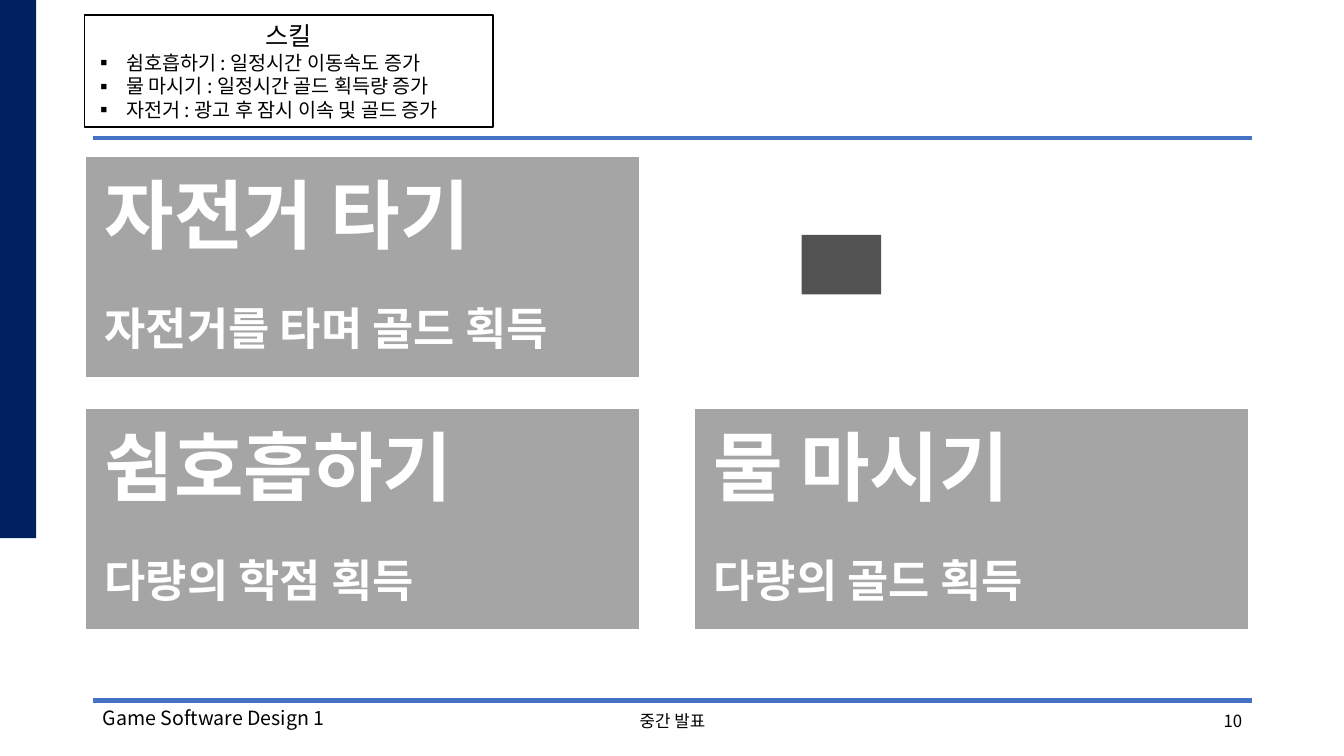
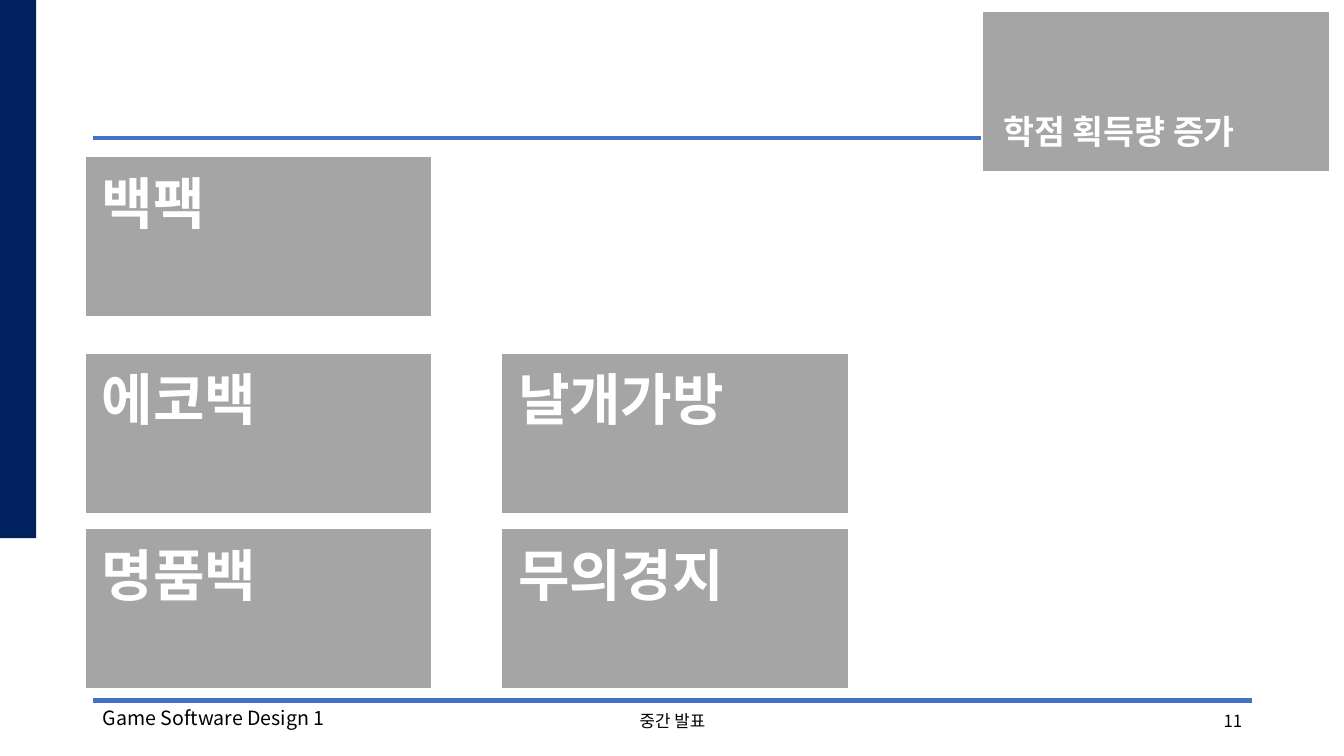
from dataclasses import dataclass

from lxml.etree import SubElement
from pptx import Presentation
from pptx.dml.color import RGBColor
from pptx.enum.shapes import MSO_CONNECTOR, MSO_SHAPE
from pptx.enum.text import MSO_ANCHOR, MSO_AUTO_SIZE, PP_ALIGN
from pptx.oxml.ns import qn
from pptx.util import Inches, Pt

FONT = "Noto Sans CJK KR"
HEX = {"navy": "002060", "blue": "4472C4", "gray": "A5A5A5",
       "dark": "525252", "white": "FFFFFF", "black": "000000"}


@dataclass
class Box:
    x: float
    y: float
    w: float
    h: float

    def dims(self) -> tuple:
        return tuple(Inches(v) for v in (self.x, self.y, self.w, self.h))


@dataclass
class Card:
    x: float
    y: float
    head: str
    note: str = ""


@dataclass
class Look:
    """Size of a card and of the text in it."""
    w: float
    h: float
    pad: float
    size: int
    tall: float


BIG = Look(5.51, 2.2, 0.1, 54, 1.01)
SMALL = Look(3.45, 1.6, 0.07, 40, 0.77)

LEFT, TOP = 0.84, 1.55
SKILLS = [Card(LEFT, TOP, "자전거 타기", "자전거를 타며 골드 획득"),
          Card(LEFT, 4.05, "쉼호흡하기", "다량의 학점 획득"),
          Card(6.88, 4.05, "물 마시기", "다량의 골드 획득")]
BAGS = [Card(LEFT, TOP, "백팩"),
        Card(LEFT, 3.5, "에코백"), Card(4.97, 3.5, "날개가방"),
        Card(LEFT, 5.24, "명품백"), Card(4.97, 5.24, "무의경지")]
LIST = ["쉼호흡하기 : 일정시간 이동속도 증가",
        "물 마시기 : 일정시간 골드 획득량 증가",
        "자전거 : 광고 후 잠시 이속 및 골드 증가"]


def tint(name: str) -> RGBColor:
    return RGBColor.from_string(HEX[name])


def paint(shape, fill: str, line: str = "", width: float = 1) -> None:
    shape.fill.solid()
    shape.fill.fore_color.rgb = tint(fill)
    if line:
        shape.line.color.rgb = tint(line)
        shape.line.width = Pt(width)
    else:
        shape.line.fill.background()


def style(shape, size: int, color: str = "black", bold: bool = False,
          align=PP_ALIGN.LEFT, anchor=MSO_ANCHOR.TOP) -> None:
    frame = shape.text_frame
    frame.word_wrap = True
    frame.auto_size = MSO_AUTO_SIZE.NONE
    frame.vertical_anchor = anchor
    for para in frame.paragraphs:
        para.alignment = align
        para.space_before = Pt(0)
        for run in para.runs:
            font = run.font
            font.name, font.size, font.bold = FONT, Pt(size), bold
            font.color.rgb = tint(color)
            SubElement(font._element, qn("a:ea"), typeface=FONT)


def place(shape, box: Box) -> None:
    shape.left, shape.top, shape.width, shape.height = box.dims()


def rect(slide, box: Box, fill: str, line: str = "", width: float = 1):
    shape = slide.shapes.add_shape(MSO_SHAPE.RECTANGLE, *box.dims())
    shape.shadow.inherit = False
    paint(shape, fill, line, width)
    return shape


def label(slide, box: Box, text: str, size: int, **look):
    shape = slide.shapes.add_textbox(*box.dims())
    shape.text_frame.text = text
    style(shape, size, **look)
    return shape


def rule(slide, y: float):
    line = slide.shapes.add_connector(
        MSO_CONNECTOR.STRAIGHT, Inches(0.92), Inches(y), Inches(12.42), Inches(y))
    line.line.color.rgb = tint("blue")
    line.line.width = Pt(3)
    SubElement(line.element.spPr, qn("a:effectLst"))
    return line


def base(deck, slide) -> None:
    """Draw the shared parts and move them to the master."""
    parts = [rule(slide, 1.37), rule(slide, 6.95),
             label(slide, Box(0.92, 6.95, 2.89, 0.34),
                   "Game Software Design 1", 14),
             rect(slide, Box(0, 0, 0.36, 5.34), "navy")]
    tree = deck.slide_master.shapes.element
    for num, part in enumerate(parts, 101):
        part.element.xpath(".//p:cNvPr")[0].set("id", str(num))
        tree.append(part.element)


def foot(slide, num: int) -> None:
    mid = MSO_ANCHOR.MIDDLE
    label(slide, Box(4.42, 6.95, 4.5, 0.4), "중간 발표", 12,
          align=PP_ALIGN.CENTER, anchor=mid)
    label(slide, Box(9.42, 6.95, 3, 0.4), str(num), 12,
          align=PP_ALIGN.RIGHT, anchor=mid)


def draw(slide, card: Card, look: Look) -> None:
    rect(slide, Box(card.x, card.y, look.w, look.h), "gray", "white", 1.5)
    x, w = card.x + look.pad, look.w - look.pad
    label(slide, Box(x, card.y + 0.07, w, look.tall), card.head, look.size,
          color="white", bold=True)
    if card.note:
        label(slide, Box(x, card.y + 1.38, w, 0.64), card.note, 32,
              color="white", bold=True)


def skills(slide) -> None:
    # Framed title with the list inside it
    title, body = slide.shapes.title, slide.placeholders[1]
    place(title, Box(LEFT, 0.15, 4.05, 1.11))
    paint(title, "white", "black")
    title.text_frame.text = "스킬"
    style(title, 18, align=PP_ALIGN.CENTER)

    place(body, Box(LEFT, 0.5, 4.05, 0.76))
    frame = body.text_frame
    frame.text = "\n".join(LIST)
    frame.margin_top = frame.margin_bottom = 0
    style(body, 14)
    for para in frame.paragraphs:
        props = para._p.get_or_add_pPr()
        props.set("marL", str(Inches(0.31)))
        props.set("indent", str(Inches(-0.31)))
        SubElement(props, qn("a:buFont"), typeface=FONT)
        SubElement(props, qn("a:buChar"), char="▪")

    # Skill cards and the small block
    for card in SKILLS:
        draw(slide, card, BIG)
    rect(slide, Box(7.95, 2.33, 0.79, 0.59), "dark")


def bags(slide) -> None:
    # Title as a card in the corner
    title = slide.shapes.title
    place(title, Box(9.74, 0.11, SMALL.w, SMALL.h))
    paint(title, "gray", "white", 1.5)
    title.text_frame.text = "학점 획득량 증가"
    title.text_frame.margin_left = Inches(0.21)
    title.text_frame.margin_bottom = Inches(0.21)
    style(title, 24, "white", True, anchor=MSO_ANCHOR.BOTTOM)

    # Bag cards
    for card in BAGS:
        draw(slide, card, SMALL)


def main() -> None:
    deck = Presentation()
    deck.slide_width, deck.slide_height = Inches(13.33), Inches(7.5)
    first = deck.slides.add_slide(deck.slide_layouts[1])
    base(deck, first)
    second = deck.slides.add_slide(deck.slide_layouts[5])
    for num, (slide, fill) in enumerate([(first, skills), (second, bags)], 10):
        foot(slide, num)
        fill(slide)
    deck.save("out.pptx")


if __name__ == "__main__":
    main()
